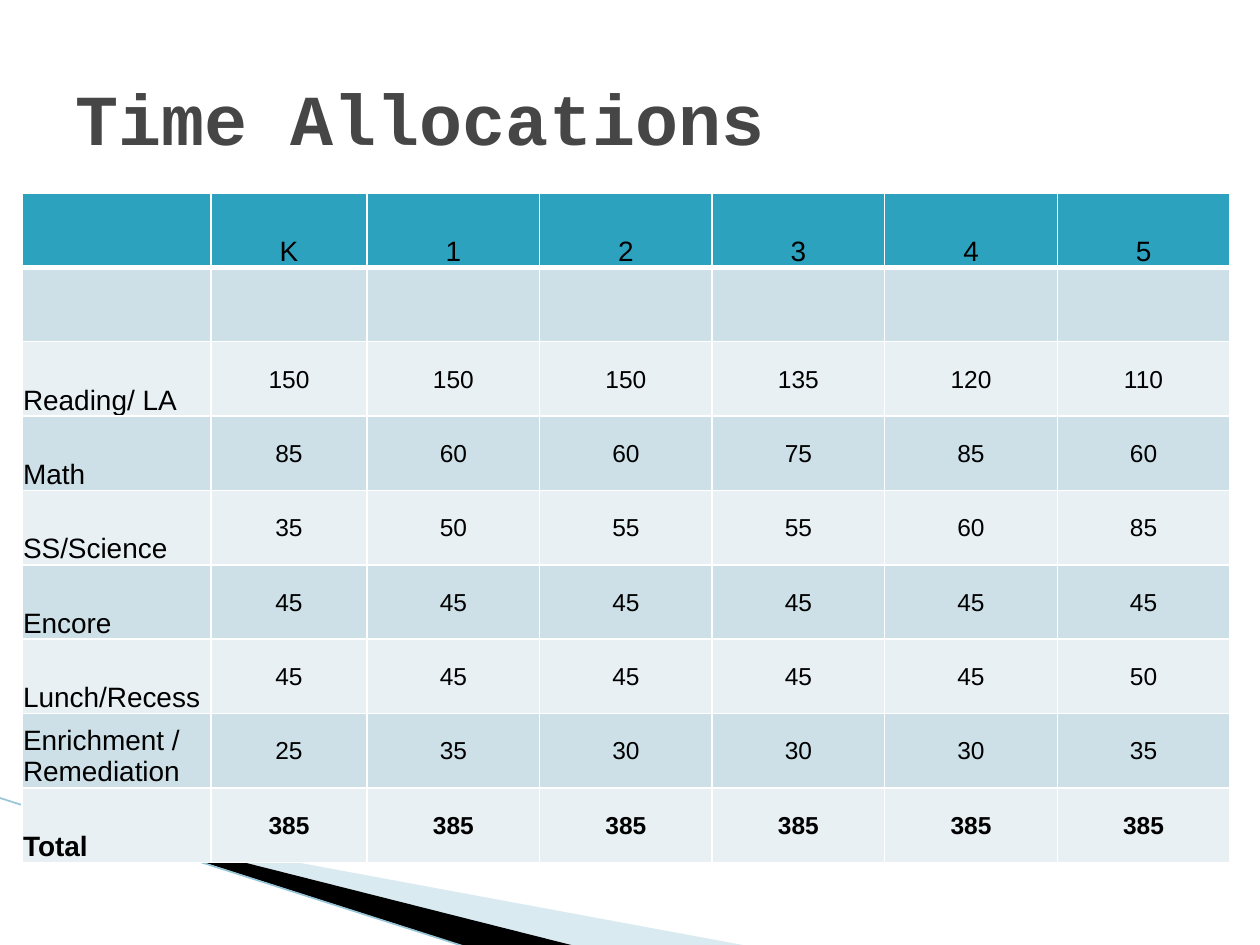
from lxml import etree
from pptx import Presentation
from pptx.dml.color import RGBColor
from pptx.enum.shapes import MSO_CONNECTOR
from pptx.enum.text import MSO_ANCHOR, MSO_AUTO_SIZE, PP_ALIGN
from pptx.oxml.ns import qn
from pptx.util import Pt

CENTER, LEFT = PP_ALIGN.CENTER, PP_ALIGN.LEFT
MIDDLE, BOTTOM = MSO_ANCHOR.MIDDLE, MSO_ANCHOR.BOTTOM

# Content
TITLE = "Time Allocations"
ROWS = [
    ("", "K", "1", "2", "3", "4", "5"),
    ("",) * 7,
    ("Reading/ LA", 150, 150, 150, 135, 120, 110),
    ("Math", 85, 60, 60, 75, 85, 60),
    ("SS/Science", 35, 50, 55, 55, 60, 85),
    ("Encore", 45, 45, 45, 45, 45, 45),
    ("Lunch/Recess", 45, 45, 45, 45, 45, 50),
    ("Enrichment / Remediation", 25, 35, 30, 30, 30, 35),
    ("Total", 385, 385, 385, 385, 385, 385),
]
COL_WIDTHS = [108, 89.3] + [98.6] * 5
ROW_HEIGHT = 42.5
TABLE_LEFT, TABLE_TOP = 12.5, 110.3
HEADER_FILL, BAND_FILLS = "2DA2BF", ("CDE0E8", "E8F0F4")

# Corner wedges: fill, opacity in percent, outline points
WEDGES = [
    ("A0CBDC", 40, [(39.6, 468.7), (428.4, 540.7), (328.3, 540.7), (39.6, 468)]),
    ("000000", 100, [(38.2, 467.3), (329, 540.7), (267.8, 541.4), (38.9, 468)]),
]
EDGE = (-0.7, 455.8, 267.1, 541.4)


def color(value):
    return RGBColor.from_string(value)


def style_run(r, font, size, fill, bold=False):
    r.font.name, r.font.size, r.font.bold = font, Pt(size), bold
    r.font.color.rgb = color(fill)


def set_borders(cell, bottom):
    tcPr = cell._tc.get_or_add_tcPr()
    for i, (side, width) in enumerate(zip("LRTB", (1, 1, 1, bottom))):
        ln = etree.Element(qn("a:ln" + side), w=str(Pt(width)))
        fill = etree.SubElement(ln, qn("a:solidFill"))
        etree.SubElement(fill, qn("a:srgbClr"), val="FFFFFF")
        tcPr.insert(i, ln)


prs = Presentation()
prs.slide_width, prs.slide_height = Pt(720), Pt(540)
s = prs.slides.add_slide(prs.slide_layouts[5])

# Corner decoration
for fill, opacity, points in WEDGES:
    outline = [(Pt(x), Pt(y)) for x, y in points]
    builder = s.shapes.build_freeform(*outline[0])
    builder.add_line_segments(outline[1:])
    sp = builder.convert_to_shape()
    sp.shadow.inherit = False
    sp.fill.solid()
    sp.fill.fore_color.rgb = color(fill)
    sp.line.fill.background()
    if opacity < 100:
        clr = sp._element.spPr.find(qn("a:solidFill"))[0]
        etree.SubElement(clr, qn("a:alpha"), val=str(opacity * 1000))

edge = s.shapes.add_connector(MSO_CONNECTOR.STRAIGHT, *(Pt(v) for v in EDGE))
edge.line.color.rgb = color("97C5D8")
edge.line.width = Pt(0.95)
etree.SubElement(edge._element.spPr, qn("a:effectLst"))

# Title
title = s.shapes.title
title.left, title.top, title.width, title.height = Pt(36), Pt(21.6), Pt(648), Pt(90)
tf = title.text_frame
tf.text = TITLE
tf.word_wrap = True
tf.auto_size = MSO_AUTO_SIZE.NONE
tf.vertical_anchor = MIDDLE
p = tf.paragraphs[0]
p.alignment = LEFT
style_run(p.runs[0], "Courier New", 41, "464646", True)

# Table
table = s.shapes.add_table(
    len(ROWS), len(COL_WIDTHS), Pt(TABLE_LEFT), Pt(TABLE_TOP),
    Pt(sum(COL_WIDTHS)), Pt(ROW_HEIGHT * len(ROWS))).table
for column, width in zip(table.columns, COL_WIDTHS):
    column.width = Pt(width)
for i, values in enumerate(ROWS):
    table.rows[i].height = Pt(ROW_HEIGHT)
    for j, value in enumerate(values):
        cell = table.cell(i, j)
        cell.fill.solid()
        cell.fill.fore_color.rgb = color(BAND_FILLS[(i - 1) % 2] if i else HEADER_FILL)
        set_borders(cell, 1 if i else 3)
        if value == "":
            continue
        label = i == 0 or j == 0
        cell.margin_left = cell.margin_right = cell.margin_top = Pt(0.7)
        cell.margin_bottom = 0
        cell.vertical_anchor = BOTTOM if label else MIDDLE
        p = cell.text_frame.paragraphs[0]
        p.text = str(value)
        p.alignment = CENTER if j else LEFT
        style_run(p.runs[0], "Arial", 16 if label else 14, "000000", values[0] == "Total")

prs.save("out.pptx")
